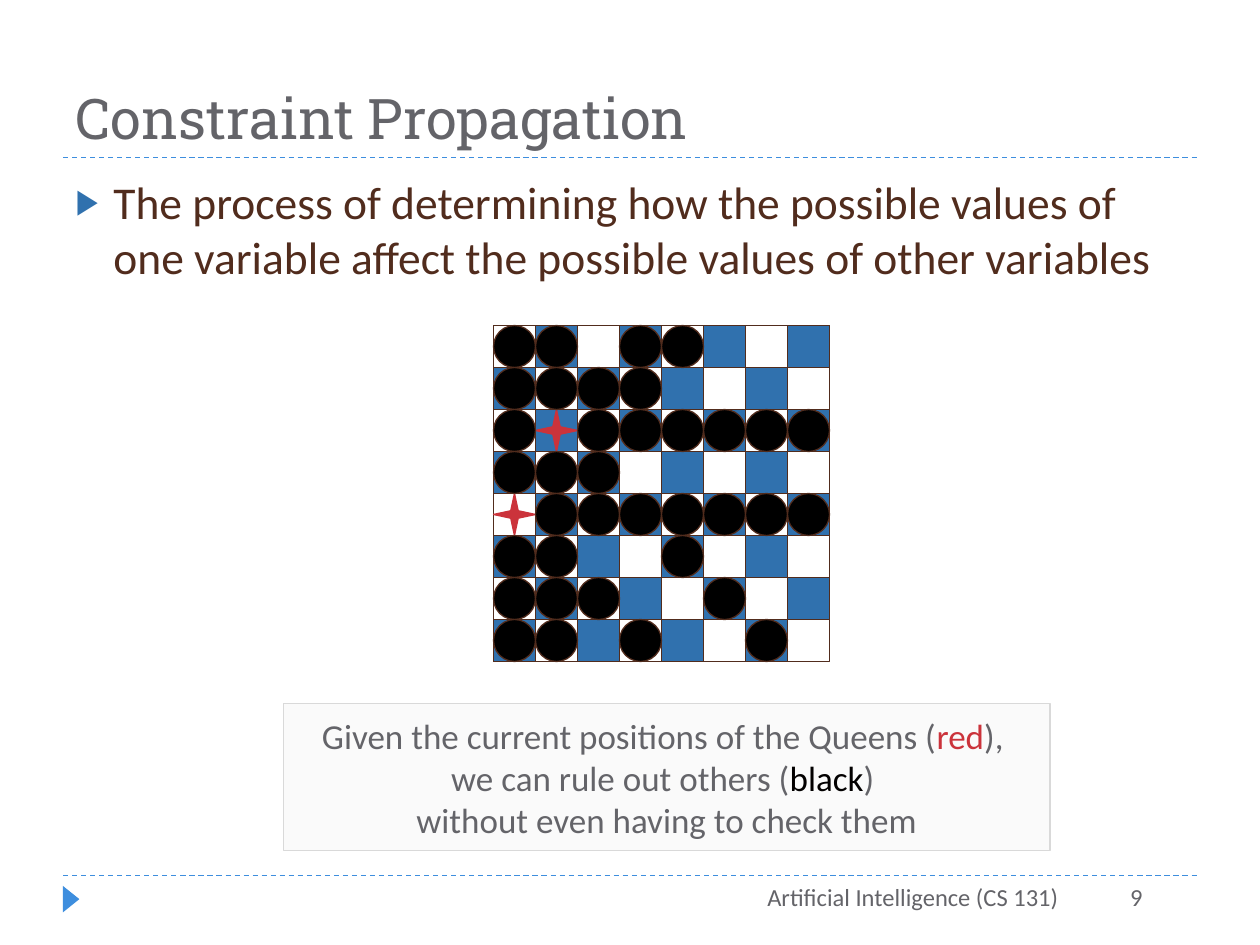
from dataclasses import dataclass

from lxml.etree import SubElement
from pptx import Presentation
from pptx.dml.color import RGBColor
from pptx.enum.dml import MSO_LINE
from pptx.enum.shapes import MSO_CONNECTOR, MSO_SHAPE as SHAPE
from pptx.enum.text import MSO_ANCHOR as ANCHOR, MSO_AUTO_SIZE, PP_ALIGN as ALIGN
from pptx.oxml.ns import qn
from pptx.util import Pt


@dataclass(frozen=True)
class Theme:
    accent: str = "3E8EDE"
    square: str = "3071AE"
    brown: str = "512C1D"
    grey: str = "646469"
    red: str = "CB333B"
    black: str = "000000"
    black_text: str = "020000"
    panel: str = "F2F2F2"
    panel_line: str = "D9D9D9"
    heading_font: str = "Roboto Slab"
    text_font: str = "Calibri"
    title_size: int = 32
    body_size: int = 26
    caption_size: int = 20
    footer_size: int = 14
    line_width: float = 0.75


THEME = Theme()
SIZE = 8
QUEENS = [(4, 0), (2, 1)]  # row, column


def rgb(color):
    return RGBColor.from_string(color)


def place(sp, box):
    sp.left, sp.top, sp.width, sp.height = map(Pt, box)


def write(sp, lines, size, color=THEME.grey, font=THEME.text_font,
          align=ALIGN.LEFT, anchor=ANCHOR.TOP):
    """Fill a shape with lines; each line is a list of (text, colour or None)."""
    tf = sp.text_frame
    tf.word_wrap = True
    tf.auto_size = MSO_AUTO_SIZE.NONE
    tf.vertical_anchor = anchor
    for i, line in enumerate(lines):
        p = tf.add_paragraph() if i else tf.paragraphs[0]
        p.alignment = align
        p.space_before = Pt(0)
        for text, run_color in line:
            r = p.add_run()
            r.text = text
            r.font.size = Pt(size)
            r.font.name = font
            r.font.color.rgb = rgb(run_color or color)
    return tf


def add_shape(slide, kind, box, fill=None, line=None):
    sp = slide.shapes.add_shape(kind, *map(Pt, box))
    sp.shadow.inherit = False
    if fill:
        sp.fill.solid()
        sp.fill.fore_color.rgb = rgb(fill)
    else:
        sp.fill.background()
    if line:
        sp.line.color.rgb = rgb(line)
        sp.line.width = Pt(THEME.line_width)
    else:
        sp.line.fill.background()
    return sp


def add_rule(slide, x, y, width):
    rule = slide.shapes.add_connector(
        MSO_CONNECTOR.STRAIGHT, Pt(x), Pt(y), Pt(x + width), Pt(y))
    rule.line.color.rgb = rgb(THEME.accent)
    rule.line.width = Pt(THEME.line_width)
    rule.line.dash_style = MSO_LINE.DASH
    SubElement(rule._element.spPr, qn("a:effectLst"))


def add_title(slide, box, text):
    x, y, w, h = box
    title = slide.shapes.title
    place(title, box)
    write(title, [[(text, None)]], THEME.title_size,
          font=THEME.heading_font, anchor=ANCHOR.BOTTOM)
    add_rule(slide, x, y + h, w)


def add_bullet(p, char, color, percent, indent):
    pPr = p._p.get_or_add_pPr()
    pPr.set("marL", str(Pt(indent)))
    pPr.set("indent", str(-Pt(indent)))
    SubElement(SubElement(pPr, qn("a:buClr")), qn("a:srgbClr"), val=color)
    SubElement(pPr, qn("a:buSzPct"), val=str(percent * 1000))
    SubElement(pPr, qn("a:buChar"), char=char)


def add_body(slide, box, text):
    body = slide.placeholders[1]
    place(body, box)
    tf = write(body, [[(text, None)]], THEME.body_size, THEME.brown)
    add_bullet(tf.paragraphs[0], "▶", THEME.square, 76, 21.6)


def attacks(queen, row, col):
    dr, dc = row - queen[0], col - queen[1]
    return dr == 0 or dc == 0 or abs(dr) == abs(dc)


def add_board(slide, box):
    """Draw the chessboard, the queens and the squares they rule out."""
    x, y, w, _ = box
    cell = w / SIZE
    squares = [(row, col) for row in range(SIZE) for col in range(SIZE)]

    def add_cell(kind, square, fill, line):
        row, col = square
        return add_shape(slide, kind, (x + col * cell, y + row * cell, cell, cell),
                         fill, line)

    add_shape(slide, SHAPE.RECTANGLE, box, line=THEME.brown)
    for square in squares:
        if sum(square) % 2:
            add_cell(SHAPE.RECTANGLE, square, THEME.square, THEME.brown)
    for queen in QUEENS:
        star = add_cell(SHAPE.STAR_4_POINT, queen, THEME.red, THEME.red)
        star.adjustments[0] = 0.125
    for square in squares:
        if square not in QUEENS and any(attacks(q, *square) for q in QUEENS):
            add_cell(SHAPE.OVAL, square, THEME.black, THEME.brown)


def add_caption(slide, box, lines):
    sp = add_shape(slide, SHAPE.RECTANGLE, box, THEME.panel, THEME.panel_line)
    fill_color = sp._element.spPr.find(qn("a:solidFill"))[0]
    SubElement(fill_color, qn("a:alpha"), val="34000")
    write(sp, lines, THEME.caption_size, align=ALIGN.CENTER, anchor=ANCHOR.MIDDLE)


def add_footer(slide, box, course, number):
    x, y, w, h = box
    add_rule(slide, x, y, w)
    marker = add_shape(slide, SHAPE.ISOSCELES_TRIANGLE,
                       (x - 2.9, y + 8.7, 15.1, 9.4), THEME.accent)
    marker.rotation = 90
    for text, left, width in ((course, 240, 336), (number, 546, 78)):
        sp = slide.shapes.add_textbox(Pt(x + left), Pt(y), Pt(width), Pt(h))
        write(sp, [[(text, None)]], THEME.footer_size, align=ALIGN.RIGHT)


def main():
    prs = Presentation()
    prs.slide_width, prs.slide_height = Pt(720), Pt(540)
    slide = prs.slides.add_slide(prs.slide_layouts[1])
    add_title(slide, (36, 18, 648, 72), "Constraint Propagation")
    add_body(slide, (36, 96, 648, 126),
             "The process of determining how the possible values of one variable "
             "affect the possible values of other variables")
    add_board(slide, (282, 186, 192, 192))
    add_caption(slide, (162, 402, 438, 84), [
        [("Given the current positions of the Queens (", None),
         ("red", THEME.red), ("), ", None)],
        [("we can rule out others (", None),
         ("black", THEME.black_text), (") ", None)],
        [("without even having to check them", None)],
    ])
    add_footer(slide, (36, 500.4, 648, 28.8), "Artificial Intelligence (CS 131)", "9")
    prs.save("out.pptx")


if __name__ == "__main__":
    main()
